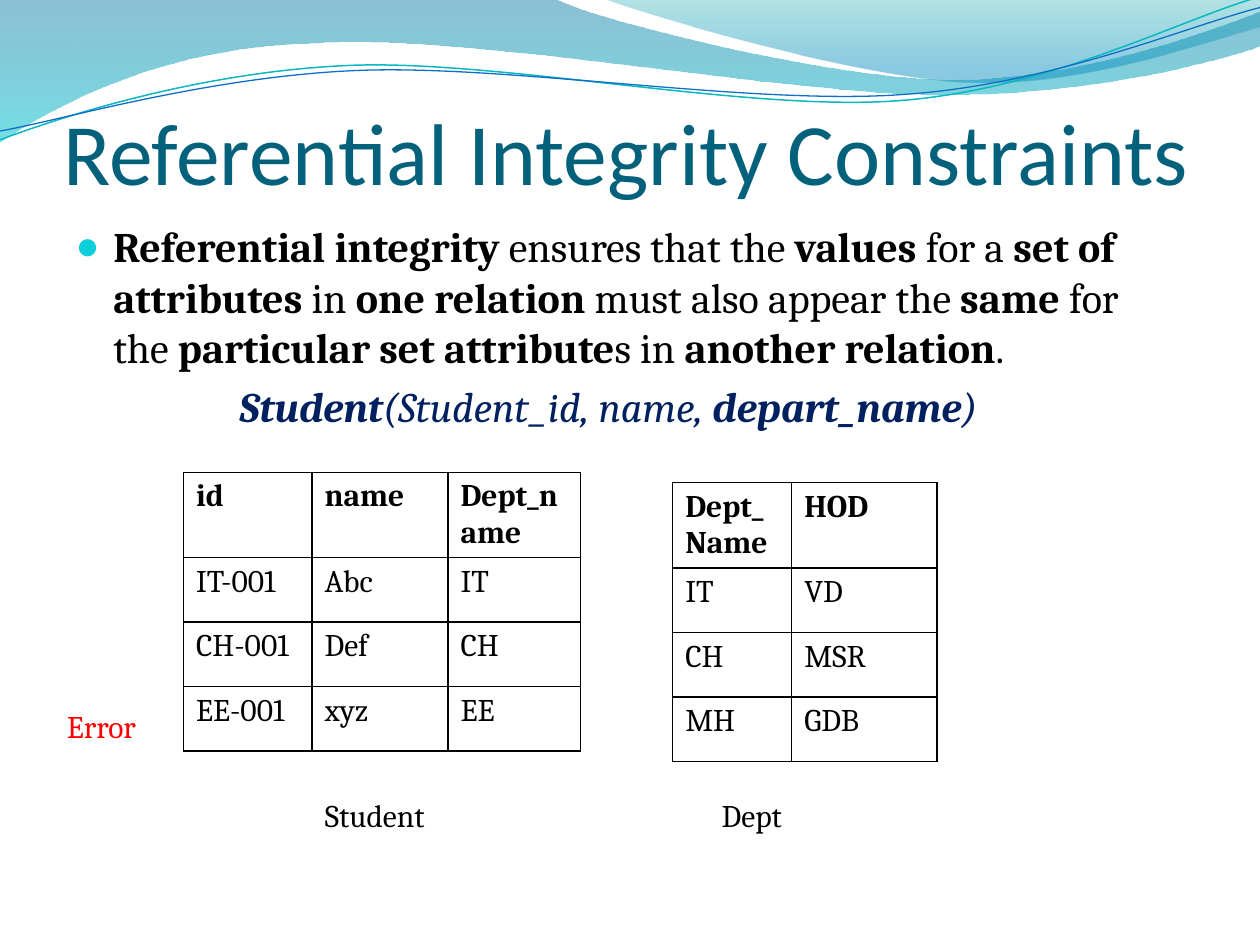
from collections import namedtuple

from lxml.etree import SubElement
from pptx import Presentation
from pptx.dml.color import RGBColor
from pptx.enum.text import MSO_ANCHOR, MSO_AUTO_SIZE, PP_ALIGN
from pptx.oxml.ns import qn
from pptx.util import Cm, Pt

Box = namedtuple("Box", "left top width height")

COLORS = {
    "title": "04617B", "text": "000000", "schema": "002060", "error": "FF0000",
    "bullet": "0BD0D9", "teal_line": "0AB8BF", "blue_line": "0F6FC6",
    "deep_blue": "0074A1", "aqua": "00C6CF", "teal": "00A1A9", "sky": "008BBF",
}
TITLE_FONT, BODY_FONT = "Calibri", "Cambria"

WAVES = [
    ([(0, 0), (4.4, -0.01), (4.76, 0.17, 6.64, 0.63, 7.58, 0.63),
      (8.53, 0.63, 9.58, 0.26, 10, 0.09), (10.01, 0.36),
      (9.83, 0.44, 8.7, 0.76, 7.46, 0.75), (6.22, 0.75, 3.82, 0.28, 2.57, 0.34),
      (1.29, 0.36, 0.46, 0.83, -0.01, 1.13)],
     [(0, "deep_blue", 45), (1, "aqua", 55)]),
    ([(4.79, -0.01), (5.09, 0.11, 6.82, 0.62, 7.69, 0.65),
      (8.56, 0.69, 9.61, 0.32, 10, 0.21), (10, 0)],
     [(0, "teal", 30), (0.8, "sky", 45)]),
]
STRANDS = [
    ([(0, 1.11), (0.48, 0.93, 1.58, 0.57, 2.77, 0.52),
      (3.95, 0.47, 5.93, 0.89, 7.13, 0.8), (8.33, 0.71, 9.38, 0.15, 9.98, -0.02)],
     "teal_line", 0.85),
    ([(0, 1.04), (0.47, 0.96, 1.64, 0.61, 2.83, 0.56),
      (4.03, 0.51, 5.97, 0.84, 7.17, 0.75), (8.36, 0.67, 9.41, 0.21, 10, 0.06)],
     "blue_line", 0.75),
]
DEFINITION = [
    ("Referential integrity", True), (" ensures that the ", False),
    ("values", True), (" for a ", False), ("set of attributes", True),
    (" in ", False), ("one relation", True), (" must also appear the ", False),
    ("same", True), (" for the ", False), ("particular set attribute", True),
    ("s in", False), (" another relation", True), (".", False),
]
SCHEMA = [("Student", True), ("(Student_id, name, ", False),
          ("depart_name", True), (")", False)]
STUDENT_ROWS = [("id", "name", "Dept_name"), ("IT-001", "Abc", "IT"),
                ("CH-001", "Def", "CH"), ("EE-001", "xyz", "EE")]
DEPT_ROWS = [("Dept_Name", "HOD"), ("IT", "VD"), ("CH", "MSR"), ("MH", "GDB")]


def rgb(name):
    return RGBColor.from_string(COLORS[name])


def format_run(run, size, color="text", bold=False, italic=False, font=BODY_FONT):
    run.font.name, run.font.size = font, Pt(size)
    run.font.bold, run.font.italic = bold, italic
    run.font.color.rgb = rgb(color)


def place(shape, box):
    shape.left, shape.top, shape.width, shape.height = map(Cm, box)


def add_outline(slide, box, path, close):
    unit = box.width / 10
    steps = [[(Cm(box.left + x * unit), Cm(box.top + y * unit))
              for x, y in zip(step[::2], step[1::2])] for step in path]
    builder = slide.shapes.build_freeform(*steps[0][-1])
    builder.add_line_segments([step[-1] for step in steps[1:]], close=close)
    shape = builder.convert_to_shape()
    shape.shadow.inherit = False
    segments = list(shape.element.spPr.iter(qn("a:lnTo")))
    for segment, step in zip(segments, steps[1:]):
        if len(step) == 3:
            curve = segment.makeelement(qn("a:cubicBezTo"))
            for x, y in step:
                SubElement(curve, qn("a:pt"), x=str(x - shape.left), y=str(y - shape.top))
            segment.getparent().replace(segment, curve)
    return shape


def add_banner(slide, box):
    for path, stops in WAVES:
        shape = add_outline(slide, box, path, True)
        shape.line.fill.background()
        shape.fill.gradient()
        shape.fill.gradient_angle = 270
        for stop, (position, color, _) in zip(shape.fill.gradient_stops, stops):
            stop.position = position
            stop.color.rgb = rgb(color)
        for node, (_, _, opacity) in zip(shape.element.spPr.iter(qn("a:srgbClr")), stops):
            SubElement(node, qn("a:alpha"), val=str(opacity * 1000))
    for path, color, width in STRANDS:
        shape = add_outline(slide, box, path, False)
        shape.fill.background()
        shape.line.color.rgb = rgb(color)
        shape.line.width = Pt(width)


def fill_title(slide, box):
    title = slide.shapes.title
    title.element.getparent().append(title.element)
    place(title, box)
    frame = title.text_frame
    frame.text = "Referential Integrity Constraints"
    frame.auto_size = MSO_AUTO_SIZE.NONE
    frame.vertical_anchor = MSO_ANCHOR.BOTTOM
    frame.margin_left = frame.margin_right = frame.margin_bottom = 0
    frame.paragraphs[0].alignment = PP_ALIGN.LEFT
    format_run(frame.paragraphs[0].runs[0], 50, "title", font=TITLE_FONT)


def write_paragraph(paragraph, parts, margin, indent, color="text", italic=False):
    for text, bold in parts:
        run = paragraph.add_run()
        run.text = text
        format_run(run, 24, color, bold, italic)
    paragraph.space_before = Pt(4.8)
    properties = paragraph._p.get_or_add_pPr()
    properties.set("marL", str(Cm(margin)))
    properties.set("indent", str(Cm(indent)))
    return properties


def fill_body(slide, box):
    body = slide.placeholders[1]
    body.element.getparent().append(body.element)
    place(body, box)
    frame = body.text_frame
    frame.auto_size = MSO_AUTO_SIZE.NONE
    frame.margin_right = Cm(0.9)
    properties = write_paragraph(frame.paragraphs[0], DEFINITION, 0.76, -0.76)
    bullet_color = SubElement(properties, qn("a:buClr"))
    SubElement(bullet_color, qn("a:srgbClr"), val=COLORS["bullet"])
    SubElement(properties, qn("a:buSzPct"), val="95000")
    SubElement(properties, qn("a:buChar"), char="●")
    properties = write_paragraph(frame.add_paragraph(), SCHEMA, 3.3, 0, "schema", True)
    SubElement(properties, qn("a:buNone"))


def add_borders(cell):
    properties = cell._tc.get_or_add_tcPr()
    for index, side in enumerate(("lnL", "lnR", "lnT", "lnB")):
        line = properties.makeelement(qn(f"a:{side}"), {"w": str(Pt(1))})
        fill = SubElement(line, qn("a:solidFill"))
        SubElement(fill, qn("a:srgbClr"), val=COLORS["text"])
        properties.insert(index, line)


def add_relation(slide, box, rows, column_widths):
    frame = slide.shapes.add_table(len(rows), len(column_widths), *map(Cm, box))
    table = frame.table
    table.first_row = table.horz_banding = False
    for column, width in zip(table.columns, column_widths):
        column.width = Cm(width)
    for row_index, values in enumerate(rows):
        table.rows[row_index].height = Cm(box.height / len(rows))
        for column_index, value in enumerate(values):
            cell = table.cell(row_index, column_index)
            cell.text_frame.text = value
            format_run(cell.text_frame.paragraphs[0].runs[0], 18, bold=row_index == 0)
            cell.fill.background()
            add_borders(cell)


def add_label(slide, box, text, color="text"):
    label = slide.shapes.add_textbox(*map(Cm, box))
    frame = label.text_frame
    frame.text = text
    frame.word_wrap = False
    frame.auto_size = MSO_AUTO_SIZE.SHAPE_TO_FIT_TEXT
    format_run(frame.paragraphs[0].runs[0], 18, color)


def main():
    presentation = Presentation()
    presentation.slide_width, presentation.slide_height = Cm(25.4), Cm(19.05)
    slide = presentation.slides.add_slide(presentation.slide_layouts[1])
    add_banner(slide, Box(0, 0, 25.4, 2.9))
    fill_title(slide, Box(1.27, 0.91, 22.86, 3.18))
    fill_body(slide, Box(1.27, 4.32, 22.86, 13.41))
    add_relation(slide, Box(3.7, 9.52, 8, 5.2), STUDENT_ROWS, (2.59, 2.74, 2.67))
    add_relation(slide, Box(13.56, 9.73, 5.33, 5.2), DEPT_ROWS, (2.4, 2.93))
    add_label(slide, Box(6.3, 15.93, 2.69, 1.02), "Student")
    add_label(slide, Box(14.3, 15.93, 1.88, 1.02), "Dept")
    add_label(slide, Box(1.1, 14.12, 1.96, 1.02), "Error", "error")
    presentation.save("out.pptx")


if __name__ == "__main__":
    main()
